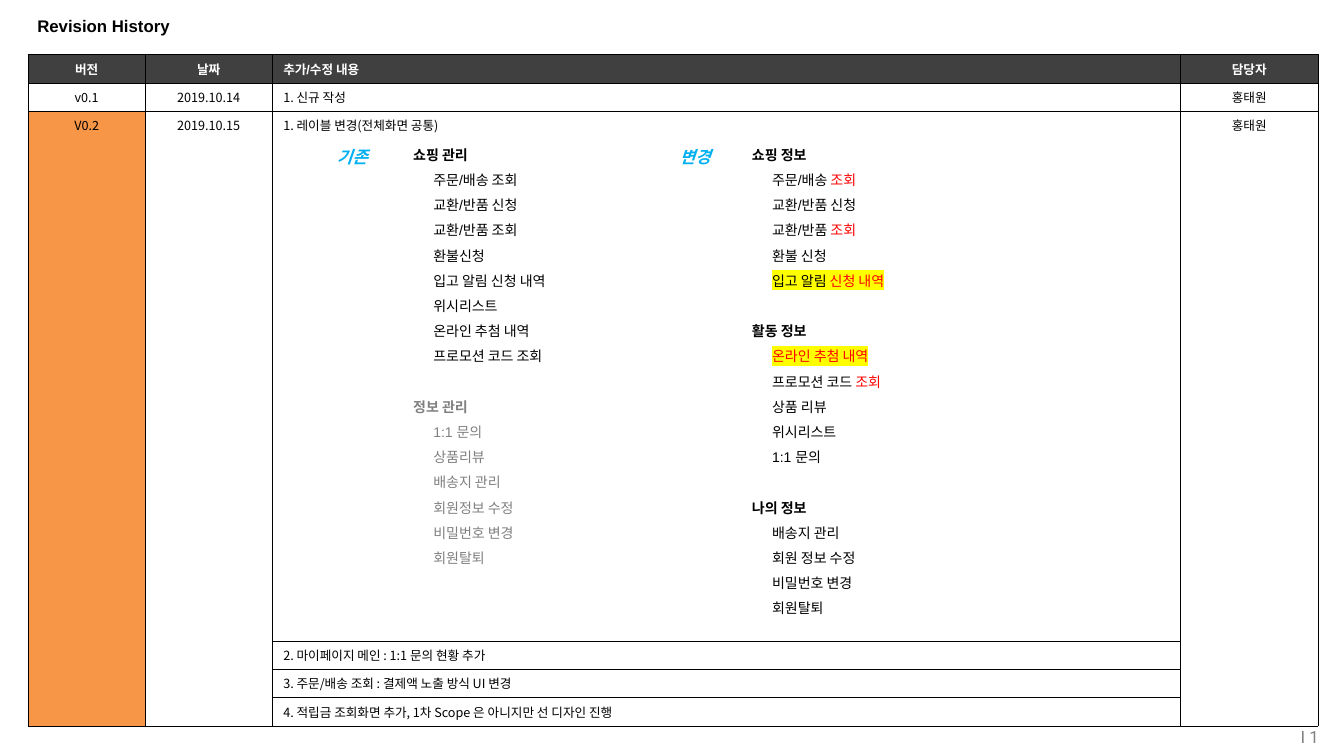
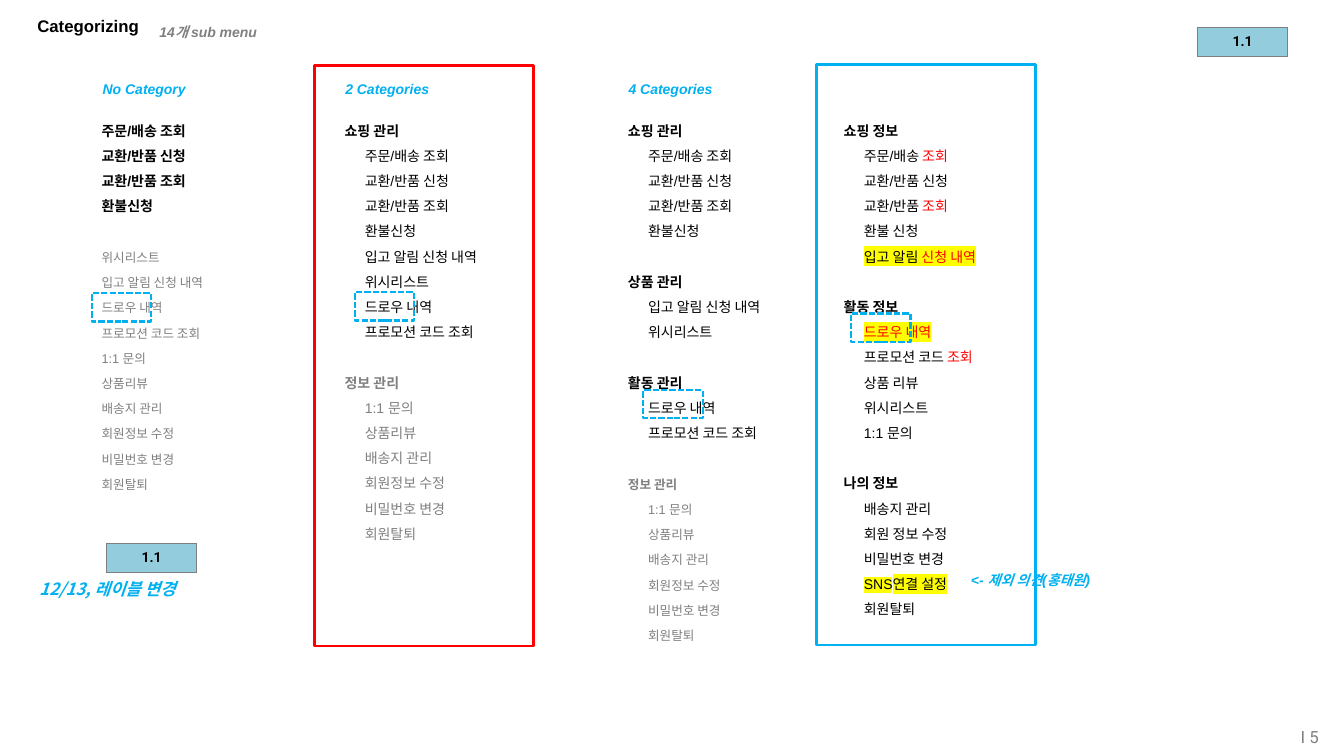
from dataclasses import dataclass
from typing import NamedTuple

from lxml.etree import SubElement
from pptx import Presentation
from pptx.dml.color import RGBColor
from pptx.enum.dml import MSO_LINE
from pptx.enum.shapes import MSO_SHAPE
from pptx.enum.text import MSO_ANCHOR, PP_ALIGN
from pptx.oxml import parse_xml
from pptx.oxml.ns import nsdecls, qn
from pptx.util import Inches, Pt


@dataclass(frozen=True)
class Theme:
    black: str = "000000"
    white: str = "FFFFFF"
    dark: str = "404040"
    grey: str = "808080"
    edge: str = "7F7F7F"
    red: str = "FF0000"
    blue: str = "00B0F0"
    pale: str = "93CDDD"
    orange: str = "F79646"
    yellow: str = "FFFF00"
    face: str = "Arial"
    asian: str = "Noto Sans CJK KR"
    digit: str = "Roboto"
    big: int = 12
    body: int = 10
    small: int = 9
    lead: int = 18


THEME = Theme()


class Bit(NamedTuple):
    """Part of a menu line with its own colour or highlight."""
    text: str
    color: str = THEME.red
    mark: bool = False


class Group(NamedTuple):
    """Block of menu lines under an optional heading."""
    head: str
    items: list
    color: str = THEME.black
    size: int = THEME.body
    bold: bool = False


class Deck:
    def __init__(self, theme):
        self.theme = theme
        self.prs = Presentation()
        self.prs.slide_width = Inches(13.33)
        self.prs.slide_height = Inches(7.5)
        self.slide = None

    def page(self, title, number):
        t = self.theme
        self.slide = self.prs.slides.add_slide(self.prs.slide_layouts[5])
        head = self.slide.shapes.title
        head.left, head.top = Inches(0.27), Inches(0.07)
        head.width, head.height = Inches(12.79), Inches(0.38)
        head.text_frame.vertical_anchor = MSO_ANCHOR.MIDDLE
        self.put(head.text_frame.paragraphs[0], title, t.big, t.black, bold=True)
        frame = self.box(11.15, 7.11, 1.93, 0.39)
        frame.margin_left = frame.margin_right = 0
        frame.vertical_anchor = MSO_ANCHOR.MIDDLE
        self.put(frame.paragraphs[0], f"I {number}", t.big, t.grey,
                 face=t.digit, align=PP_ALIGN.RIGHT)

    def box(self, x, y, w, h):
        shape = self.slide.shapes.add_textbox(Inches(x), Inches(y), Inches(w), Inches(h))
        shape.text_frame.word_wrap = True
        return shape.text_frame

    def put(self, para, text, size, color, bold=False, italic=False,
            face=None, align=PP_ALIGN.LEFT):
        """Fill a paragraph with a string or a tuple of strings and Bits."""
        for part in (text,) if isinstance(text, str) else text:
            run = para.add_run()
            if isinstance(part, str):
                run.text = part
                continue
            run.text = part.text
            run.font.color.rgb = RGBColor.from_string(part.color)
            if part.mark:
                mark = SubElement(run.font._rPr, qn("a:highlight"))
                SubElement(mark, qn("a:srgbClr")).set("val", self.theme.yellow)
        para.alignment = align
        font = para.font
        font.size, font.bold, font.italic = Pt(size), bold, italic
        font.color.rgb = RGBColor.from_string(color)
        font.name = face or self.theme.face
        SubElement(font._rPr, qn("a:ea")).set("typeface", self.theme.asian)

    def label(self, x, y, w, text, size=THEME.body, color=THEME.blue):
        frame = self.box(x, y, w, 0.47)
        frame.vertical_anchor = MSO_ANCHOR.MIDDLE
        self.put(frame.paragraphs[0], text, size, color, bold=True,
                 italic=True, align=PP_ALIGN.CENTER)

    def note(self, x, y, w, text):
        t = self.theme
        frame = self.box(x, y, w, 0.3)
        frame.word_wrap = False
        self.put(frame.paragraphs[0], text, t.big, t.blue, bold=True,
                 italic=True, face=t.asian)

    def menu(self, x, y, w, h, groups):
        frame = self.box(x, y, w, h)
        para = None
        for group in groups:
            lines = [(group.head, True, 0)] if group.head else []
            indent = 0.2 if group.head else 0
            lines += [(item, group.bold, indent) for item in group.items]
            for i, (text, bold, left) in enumerate(lines):
                first = para is None
                para = frame.paragraphs[0] if first else frame.add_paragraph()
                para.line_spacing = Pt(self.theme.lead)
                if i == 0 and not first:
                    para.space_before = Pt(self.theme.lead)
                para._p.get_or_add_pPr().set("marL", str(Inches(left)))
                self.put(para, text, group.size, group.color, bold)

    def frame(self, x, y, w, h, color, width=2, dash=None):
        shape = self.slide.shapes.add_shape(
            MSO_SHAPE.RECTANGLE, Inches(x), Inches(y), Inches(w), Inches(h))
        shape.shadow.inherit = False
        shape.fill.background()
        shape.line.color.rgb = RGBColor.from_string(color)
        shape.line.width = Pt(width)
        if dash:
            shape.line.dash_style = dash

    def table(self, x, y, cols, rows):
        shape = self.slide.shapes.add_table(
            len(rows), len(cols), Inches(x), Inches(y),
            Inches(sum(cols)), Inches(sum(rows)))
        table = shape.table
        table.first_row = table.horz_banding = False
        for col, width in zip(table.columns, cols):
            col.width = Inches(width)
        for row, height in zip(table.rows, rows):
            row.height = Inches(height)
        return table

    def cell(self, cell, fill, edge, width, pad=(0.11, 0.05), anchor=MSO_ANCHOR.MIDDLE):
        """Set the fill, borders, margins and anchor of a cell."""
        if fill:
            cell.fill.solid()
            cell.fill.fore_color.rgb = RGBColor.from_string(fill)
        else:
            cell.fill.background()
        cell.margin_left = cell.margin_right = Inches(pad[0])
        cell.margin_top = cell.margin_bottom = Inches(pad[1])
        cell.vertical_anchor = anchor
        props = cell._tc.get_or_add_tcPr()
        for i, side in enumerate("LRTB"):
            props.insert(i, parse_xml(
                f'<a:ln{side} {nsdecls("a")} w="{Pt(width)}"><a:solidFill>'
                f'<a:srgbClr val="{edge}"/></a:solidFill></a:ln{side}>'))

    def badge(self, x, y, text):
        t = self.theme
        cell = self.table(x, y, [0.89], [0.29]).cell(0, 0)
        self.cell(cell, t.pale, t.edge, 1, pad=(0, 0))
        self.put(cell.text_frame.paragraphs[0], text, t.body, t.black, bold=True,
                 face=t.digit, align=PP_ALIGN.CENTER)

    def log(self, x, y, cols, rows, data):
        """Revision table whose last four rows share all but the third column."""
        t = self.theme
        table = self.table(x, y, cols, rows)
        for r, line in enumerate(data):
            for c, text in enumerate(line):
                cell = table.cell(r, c)
                head = r == 0
                fill = t.dark if head else t.orange if r > 1 and c == 0 else None
                top = r == 2 or r > 2 and c != 2
                self.cell(cell, fill, t.black, 0.25,
                          anchor=MSO_ANCHOR.TOP if top else MSO_ANCHOR.MIDDLE)
                self.put(cell.text_frame.paragraphs[0], text, t.small,
                         t.white if head else t.black, bold=head,
                         face=t.face if head else t.asian,
                         align=PP_ALIGN.LEFT if c == 2 else PP_ALIGN.CENTER)
        for c in (0, 1, 3):
            table.cell(2, c).merge(table.cell(len(rows) - 1, c))


ORDER = ["주문/배송 조회", "교환/반품 신청", "교환/반품 조회", "환불신청"]
ALERT, WISH, PROMO, DRAW = "입고 알림 신청 내역", "위시리스트", "프로모션 코드 조회", "드로우 내역"
RAFFLE = "온라인 추첨 내역"
INFO = ["1:1 문의", "상품리뷰", "배송지 관리", "회원정보 수정", "비밀번호 변경", "회원탈퇴"]


def old(draw):
    """Two-group menu before the change."""
    return [Group("쇼핑 관리", ORDER + [ALERT, WISH, draw, PROMO]),
            Group("정보 관리", INFO, THEME.grey)]


def new(draw, extra=()):
    """Three-group menu after the change."""
    return [
        Group("쇼핑 정보", [
            ("주문/배송 ", Bit("조회")), "교환/반품 신청", ("교환/반품 ", Bit("조회")), "환불 신청",
            (Bit("입고 알림 ", THEME.black, True), Bit("신청 내역", mark=True))]),
        Group("활동 정보", [
            (Bit(draw, mark=True),), ("프로모션 코드 ", Bit("조회")),
            "상품 리뷰", WISH, "1:1 문의"]),
        Group("나의 정보", ["배송지 관리", "회원 정보 수정", "비밀번호 변경", *extra, "회원탈퇴"])]


def history(deck):
    deck.page("Revision History", 1)
    deck.log(0.28, 0.54, [1.16, 1.26, 9.01, 1.36], [0.28, 0.28, 5.26] + [0.28] * 3, [
        ["버전", "날짜", "추가/수정 내용", "담당자"],
        ["v0.1", "2019.10.14", "1. 신규 작성", "홍태원"],
        ["V0.2", "2019.10.15", "1. 레이블 변경(전체화면 공통)", "홍태원"],
        ["", "", "2. 마이페이지 메인 : 1:1 문의 현황 추가", ""],
        ["", "", "3. 주문/배송 조회 : 결제액 노출 방식 UI 변경", ""],
        ["", "", "4. 적립금 조회화면 추가, 1차 Scope 은 아니지만 선 디자인 진행", ""]])
    deck.menu(7.36, 1.32, 1.97, 5.17, new(RAFFLE))
    deck.menu(4, 1.32, 1.97, 4.73, old(RAFFLE))
    for x, text in ((3.17, "기존"), (6.57, "변경")):
        deck.label(x, 1.32, 0.65, text, THEME.big)


def sorting(deck):
    deck.page("Categorizing", 5)
    deck.label(1.3, 0.08, 1.53, "14개 sub menu", color=THEME.grey)
    plain = [Group("", ORDER, bold=True),
             Group("", [WISH, ALERT, DRAW, PROMO] + INFO, THEME.grey, THEME.small)]
    four = [Group("쇼핑 관리", ORDER), Group("상품 관리", [ALERT, WISH]),
            Group("활동 관리", [DRAW, PROMO]),
            Group("정보 관리", INFO, THEME.grey, THEME.small)]
    sns = (Bit("SNS연결 설정", THEME.black, True),)
    for x, w, h, groups in ((0.91, 1.4, 4.73, plain), (3.32, 1.97, 4.73, old(DRAW)),
                            (6.13, 1.97, 5.53, four), (8.27, 1.97, 5.53, new(DRAW, [sns]))):
        deck.menu(x, 1.08, w, h, groups)
    for x, text in ((0.61, "No Category"), (3.02, "2 Categories"), (5.83, "4 Categories")):
        deck.label(x, 0.65, 1.64, text)
    deck.frame(3.12, 0.65, 2.17, 5.76, THEME.red)
    deck.frame(8.1, 0.64, 2.17, 5.76, THEME.blue)
    deck.label(9.4, 5.52, 1.64, "<- 제외 의견(홍태원)")
    deck.note(0.29, 5.69, 1.67, "12/13, 레이블 변경")
    for x, y in ((0.91, 2.91), (3.52, 2.9), (6.38, 3.87), (8.44, 3.11)):
        deck.frame(x, y, 0.59, 0.28, THEME.blue, 1.5, MSO_LINE.SQUARE_DOT)
    for x, y in ((11.88, 0.27), (1.06, 5.39)):
        deck.badge(x, y, "1.1")


def main():
    deck = Deck(THEME)
    history(deck)
    sorting(deck)
    deck.prs.save("out.pptx")


if __name__ == "__main__":
    main()
